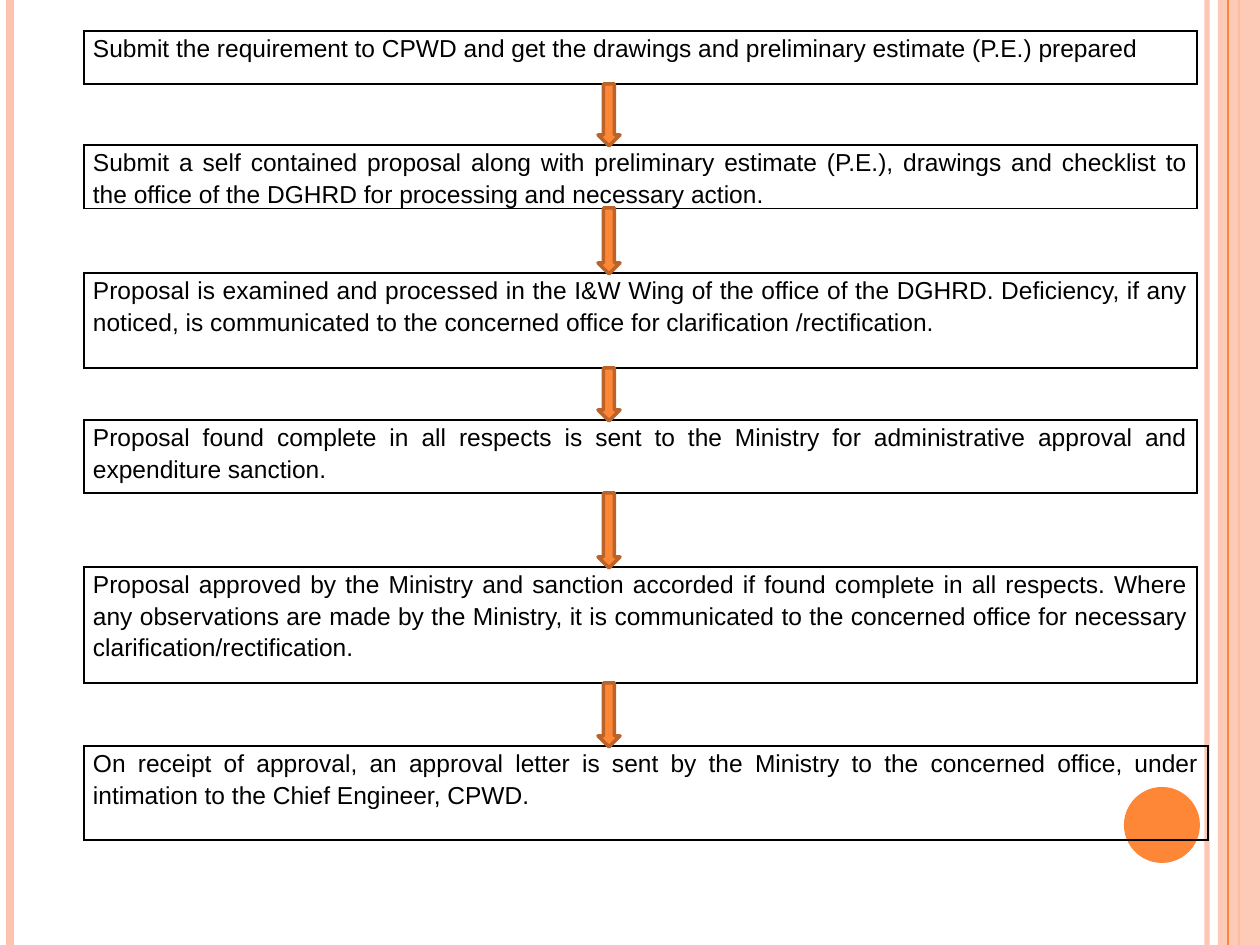
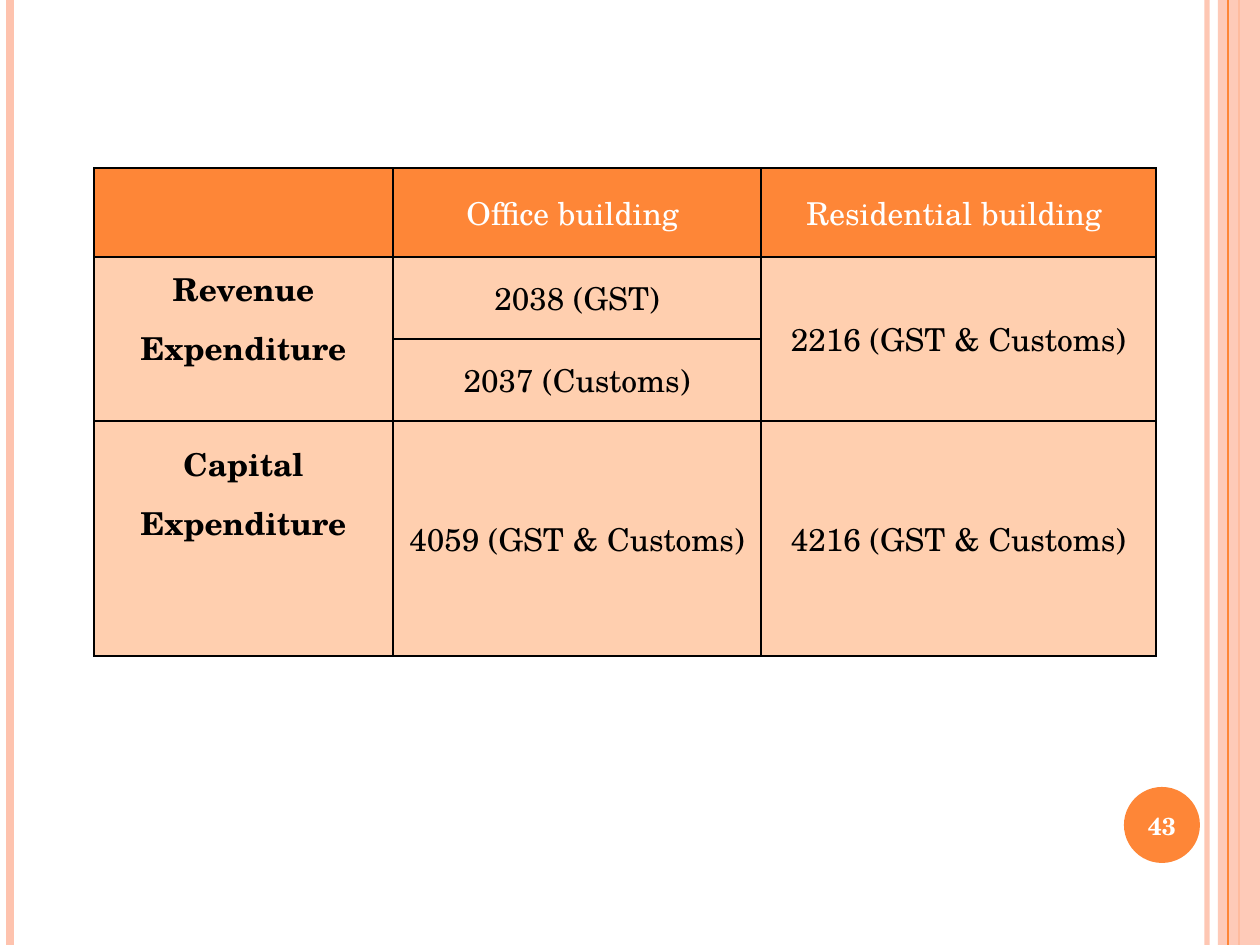
from itertools import pairwise

from lxml.etree import SubElement
from pptx import Presentation
from pptx.dml.color import RGBColor
from pptx.enum.shapes import MSO_CONNECTOR as Connector, MSO_SHAPE as Shape
from pptx.enum.text import MSO_ANCHOR as Anchor, PP_ALIGN as Align
from pptx.oxml import parse_xml
from pptx.oxml.ns import nsdecls, qn
from pptx.util import Pt

EMU_PER_PX = 914400 / 126
SLIDE_W, SLIDE_H = 1260, 945

ORANGE, DARK_ORANGE = "FE8637", "BC6329"
PINK, PEACH = "FEC3AE", "FFCFAF"
BLACK, WHITE = "000000", "FFFFFF"
SANS, SERIF = "Arial", "TeX Gyre Schola"

# Approval steps: top, width, height, text
STEPS = [
    (31, 1113, 53, "Submit the requirement to CPWD and get the drawings and "
     "preliminary estimate (P.E.) prepared"),
    (145, 1113, 63, "Submit a self contained proposal along with preliminary "
     "estimate (P.E.), drawings and checklist to the office of the DGHRD for "
     "processing and necessary action."),
    (273, 1113, 95, "Proposal is examined and processed in the I&W Wing of the "
     "office of the DGHRD. Deficiency, if any noticed, is communicated to the "
     "concerned office for clarification /rectification."),
    (420, 1113, 73, "Proposal found complete in all respects is sent to the "
     "Ministry for administrative approval and expenditure sanction."),
    (567, 1113, 116, "Proposal approved by the Ministry and sanction accorded if "
     "found complete in all respects. Where any observations are made by the "
     "Ministry, it is communicated to the concerned office for necessary "
     "clarification/rectification."),
    (746, 1124, 94, "On receipt of approval, an approval letter is sent by the "
     "Ministry to the concerned office, under intimation to the Chief Engineer, "
     "CPWD."),
]
STEP_LEFT, ARROW_LEFT, ARROW_W = 84, 598, 22

# Account heads by expenditure and building; None is covered by a merge
ACCOUNT_HEADS = [
    ["", "Office building ", "Residential building "],
    ["Revenue\nExpenditure", "2038 (GST)", "2216 (GST & Customs)"],
    [None, "2037 (Customs)", None],
    ["Capital\nExpenditure", "4059 (GST & Customs)", "4216 (GST & Customs)"],
]
HEAD_COLS, HEAD_ROWS = [299, 368, 395], [89, 82, 82, 235]
LABEL_LIFT = {1: 42, 3: 90}  # extra bottom margin of the row labels


def px(length):
    return round(length * EMU_PER_PX)


def color(hex_code):
    return RGBColor.from_string(hex_code)


def set_opacity(shape, percent):
    srgb = next(shape.element.iter(qn("a:srgbClr")))
    SubElement(srgb, qn("a:alpha"), val=str(percent * 1000))


def add_rule(slide, x, hex_code, width):
    """Full-height vertical line."""
    rule = slide.shapes.add_connector(Connector.STRAIGHT, px(x), 0, px(x), px(SLIDE_H))
    rule.line.color.rgb = color(hex_code)
    rule.line.width = Pt(width)
    SubElement(rule.element.spPr, qn("a:effectLst"))
    return rule


def add_figure(slide, preset, box, fill, outline=None):
    figure = slide.shapes.add_shape(preset, *map(px, box))
    figure.shadow.inherit = False
    figure.fill.solid()
    figure.fill.fore_color.rgb = color(fill)
    if outline:
        figure.line.color.rgb = color(outline)
        figure.line.width = Pt(2)
    else:
        figure.line.fill.background()
    return figure


def format_text(frame, align, font, size, hex_code, bold=False):
    for paragraph in frame.paragraphs:
        paragraph.alignment = align
        for run in paragraph.runs:
            run.font.name = font
            run.font.size = Pt(size)
            run.font.bold = bold
            run.font.color.rgb = color(hex_code)


def style_cell(cell, fill=None):
    """Black 1 pt border on every side, and a fill or none."""
    if fill:
        cell.fill.solid()
        cell.fill.fore_color.rgb = color(fill)
    else:
        cell.fill.background()
    properties = cell._tc.get_or_add_tcPr()
    for position, side in enumerate(("lnL", "lnR", "lnT", "lnB")):
        properties.insert(position, parse_xml(
            f'<a:{side} {nsdecls("a")} w="12700"><a:solidFill>'
            f'<a:srgbClr val="{BLACK}"/></a:solidFill></a:{side}>'))


def add_grid(slide, left, top, widths, heights):
    """Unbanded table with the given column widths and row heights."""
    box = left, top, sum(widths), sum(heights)
    grid = slide.shapes.add_table(len(heights), len(widths), *map(px, box)).table
    grid.first_row = grid.horz_banding = False
    for column, width in zip(grid.columns, widths):
        column.width = px(width)
    for row, height in zip(grid.rows, heights):
        row.height = px(height)
    return grid


def add_step(slide, top, width, height, text):
    step = add_grid(slide, STEP_LEFT, top, [width], [height]).cell(0, 0)
    style_cell(step)
    step.margin_left = step.margin_right = px(9)
    step.margin_top = step.margin_bottom = 0
    step.text_frame.text = text
    step.text_frame.paragraphs[0].line_spacing = 1.15
    format_text(step.text_frame, Align.JUSTIFY, SANS, 14, BLACK)


def add_framed_slide(deck):
    """Blank slide with the side bands and the number disc."""
    slide = deck.slides.add_slide(deck.slide_layouts[6])
    set_opacity(add_rule(slide, 1207, PINK, 3), 93)
    add_rule(slide, 10, PINK, 4.5)
    add_rule(slide, 1239, ORANGE, 1.5)
    set_opacity(add_figure(slide, Shape.RECTANGLE, (1218, 0, 42, SLIDE_H), PINK), 87)
    add_rule(slide, 1228, ORANGE, 0.75)
    add_figure(slide, Shape.OVAL, (1124, 787, 76, 76), ORANGE)
    return slide


def add_page_number(slide, number):
    label = slide.shapes.add_textbox(*map(px, (1120, 790, 84, 72))).text_frame
    label.word_wrap = True
    label.vertical_anchor = Anchor.MIDDLE
    label.text = number
    format_text(label, Align.CENTER, SERIF, 14, WHITE, bold=True)


def build_approval_flow(deck):
    slide = add_framed_slide(deck)
    for step in STEPS:
        add_step(slide, *step)
    # Arrows fill the gaps between the steps
    for (top, _, height, _), (next_top, *_) in pairwise(STEPS):
        bottom = top + height
        add_figure(slide, Shape.DOWN_ARROW,
                   (ARROW_LEFT, bottom, ARROW_W, next_top - bottom + 1),
                   ORANGE, DARK_ORANGE)


def build_account_heads(deck):
    slide = add_framed_slide(deck)
    add_page_number(slide, "43")
    grid = add_grid(slide, 94, 168, HEAD_COLS, HEAD_ROWS)
    for r, row in enumerate(ACCOUNT_HEADS):
        for c, text in enumerate(row):
            cell = grid.cell(r, c)
            style_cell(cell, PEACH if r else ORANGE)
            cell.vertical_anchor = Anchor.MIDDLE
            if not text:
                continue
            cell.text_frame.text = text
            format_text(cell.text_frame, Align.CENTER, SERIF, 18,
                        BLACK if r else WHITE, bold=c == 0)
            for paragraph in cell.text_frame.paragraphs[1:]:
                paragraph.space_before = Pt(6)
            if c == 0:
                cell.margin_bottom = px(6 + LABEL_LIFT[r])
    # Revenue label and residential head cover two rows
    for c in (0, 2):
        grid.cell(1, c).merge(grid.cell(2, c))


def main():
    deck = Presentation()
    deck.slide_width, deck.slide_height = px(SLIDE_W), px(SLIDE_H)
    build_approval_flow(deck)
    build_account_heads(deck)
    deck.save("out.pptx")


if __name__ == "__main__":
    main()
